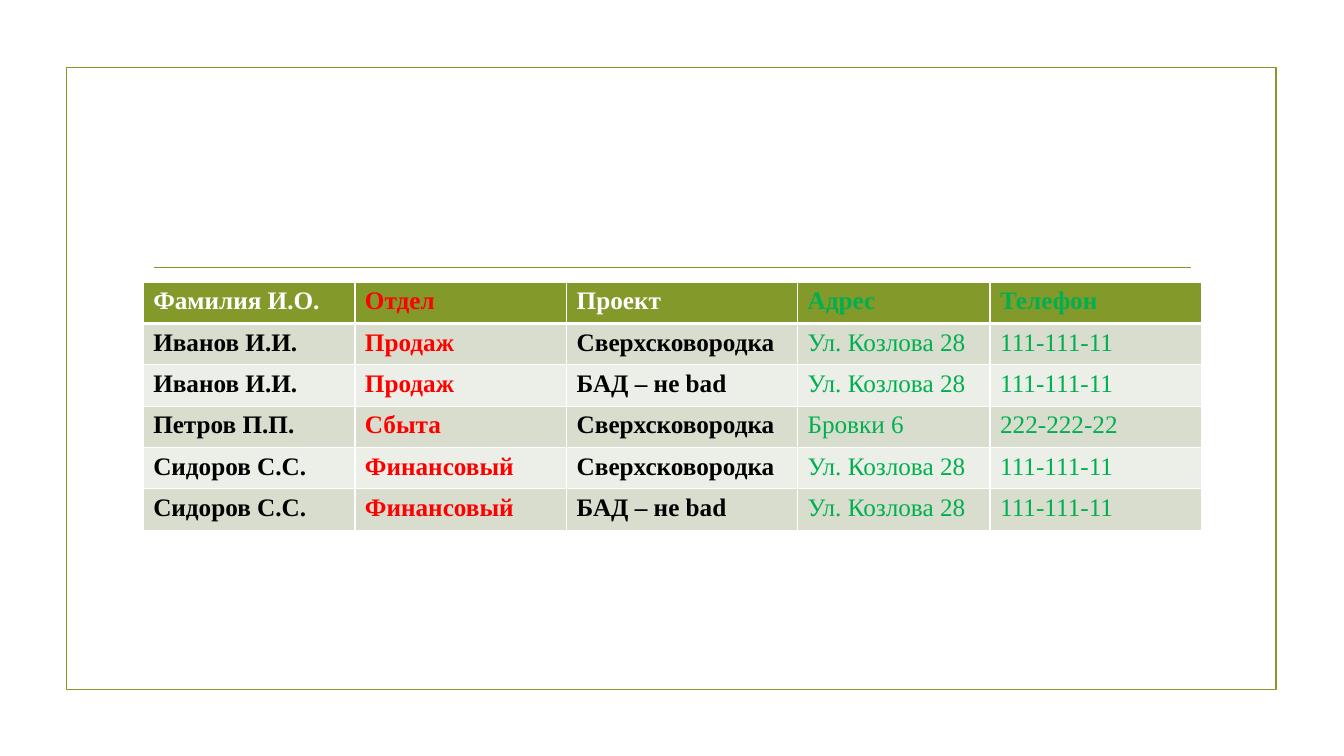
import lxml.etree
import pptx
import pptx.util
import pptx.dml.color
import pptx.enum.shapes
import pptx.oxml.ns

Inches = pptx.util.Inches
Pt = pptx.util.Pt
RGBColor = pptx.dml.color.RGBColor
qn = pptx.oxml.ns.qn

OLIVE = RGBColor(0x83, 0x99, 0x2A)
ODD_BAND = RGBColor(0xD8, 0xDD, 0xCD)
EVEN_BAND = RGBColor(0xEC, 0xEF, 0xE7)
WHITE = RGBColor(0xFF, 0xFF, 0xFF)
BLACK = RGBColor(0x00, 0x00, 0x00)
RED = RGBColor(0xFF, 0x00, 0x00)
GREEN = RGBColor(0x00, 0xB0, 0x50)

FONT = "Times New Roman"
COLUMN_WIDTHS = [2.1, 2.1, 2.29, 1.91, 2.1]
ROW_HEIGHT = 0.41
HEADER_COLORS = [WHITE, RED, WHITE, GREEN, GREEN]
BODY_COLORS = [BLACK, RED, BLACK, GREEN, GREEN]
BOLD_COLUMNS = 3
THIN, THICK = 0.96, 3

EMPLOYEES = [
    ["Фамилия И.О.", "Отдел", "Проект", "Адрес", "Телефон"],
    ["Иванов И.И.", "Продаж", "Сверхсковородка", "Ул. Козлова 28", "111-111-11"],
    ["Иванов И.И.", "Продаж", "БАД – не bad", "Ул. Козлова 28", "111-111-11"],
    ["Петров П.П.", "Сбыта", "Сверхсковородка", "Бровки 6", "222-222-22"],
    ["Сидоров С.С.", "Финансовый", "Сверхсковородка", "Ул. Козлова 28", "111-111-11"],
    ["Сидоров С.С.", "Финансовый", "БАД – не bad", "Ул. Козлова 28", "111-111-11"],
]


def add_frame(slide):
    frame = slide.shapes.add_shape(
        pptx.enum.shapes.MSO_SHAPE.RECTANGLE,
        Inches(0.66), Inches(0.67), Inches(12), Inches(6.17))
    frame.shadow.inherit = False
    frame.fill.background()
    frame.line.color.rgb = OLIVE
    frame.line.width = Pt(1.25)


def add_title_rule(slide):
    rule = slide.shapes.add_connector(
        pptx.enum.shapes.MSO_CONNECTOR.STRAIGHT,
        Inches(1.53), Inches(2.65), Inches(11.81), Inches(2.65))
    rule.line.color.rgb = OLIVE
    rule.line.width = Pt(0.75)
    lxml.etree.SubElement(rule._element.spPr, qn("a:effectLst"))


def set_borders(cell, top, bottom):
    properties = cell._tc.get_or_add_tcPr()
    widths = {"a:lnL": THIN, "a:lnR": THIN, "a:lnT": top, "a:lnB": bottom}
    for side, width in widths.items():
        border = lxml.etree.SubElement(properties, qn(side), w=str(Pt(width)))
        solid = lxml.etree.SubElement(border, qn("a:solidFill"))
        lxml.etree.SubElement(solid, qn("a:srgbClr"), val=str(WHITE))


def fill_cell(cell, text, background, color, bold):
    cell.fill.solid()
    cell.fill.fore_color.rgb = background
    run = cell.text_frame.paragraphs[0].add_run()
    run.text = text
    run.font.name = FONT
    run.font.size = Pt(18)
    run.font.bold = bold
    run.font.color.rgb = color


def add_employee_table(slide):
    table = slide.shapes.add_table(
        len(EMPLOYEES), len(COLUMN_WIDTHS), Inches(1.42), Inches(2.8),
        Inches(sum(COLUMN_WIDTHS)), Inches(ROW_HEIGHT * len(EMPLOYEES))).table
    for column, width in zip(table.columns, COLUMN_WIDTHS):
        column.width = Inches(width)
    for row_index, employee in enumerate(EMPLOYEES):
        table.rows[row_index].height = Inches(ROW_HEIGHT)
        is_header = row_index == 0
        band = ODD_BAND if row_index % 2 else EVEN_BAND
        background = OLIVE if is_header else band
        colors = HEADER_COLORS if is_header else BODY_COLORS
        top = THICK if row_index == 1 else THIN
        bottom = THICK if is_header else THIN
        for column_index, text in enumerate(employee):
            cell = table.cell(row_index, column_index)
            set_borders(cell, top, bottom)
            fill_cell(cell, text, background, colors[column_index],
                      is_header or column_index < BOLD_COLUMNS)


def main():
    presentation = pptx.Presentation()
    presentation.slide_width = Inches(13.33)
    presentation.slide_height = Inches(7.5)
    slide = presentation.slides.add_slide(presentation.slide_layouts[6])
    add_frame(slide)
    add_title_rule(slide)
    add_employee_table(slide)
    presentation.save("out.pptx")


if __name__ == "__main__":
    main()
